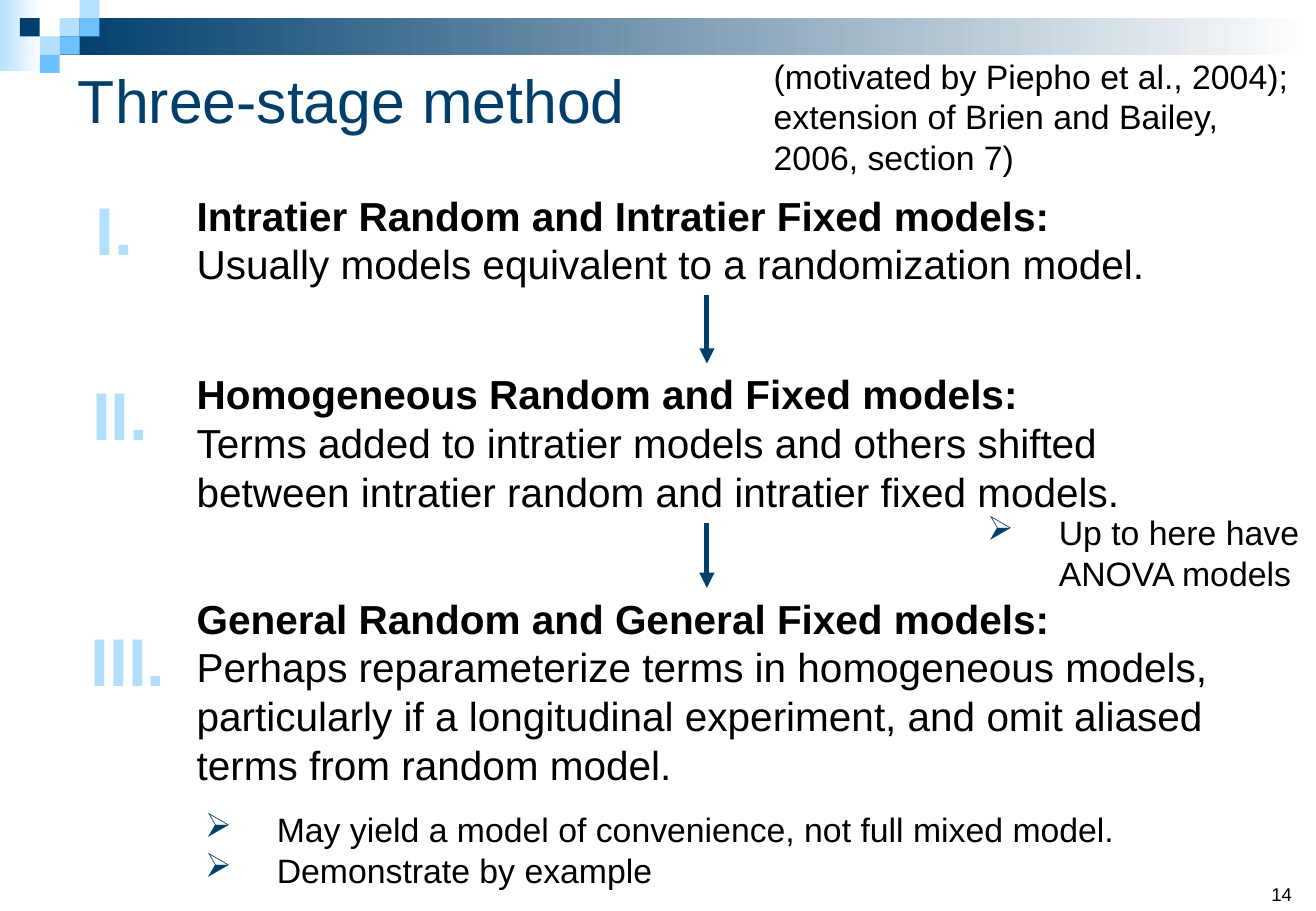
import pptx
import pptx.dml.color
import pptx.enum.shapes
import pptx.enum.text
import pptx.oxml
import pptx.oxml.ns
import pptx.util

Pt = pptx.util.Pt
Align = pptx.enum.text.PP_ALIGN
Anchor = pptx.enum.text.MSO_ANCHOR

COLOURS = {
    "navy": "003E6C",
    "sky": "6DC1FF",
    "pale": "B6E0FF",
    "numeral": "B3DFFF",
    "black": "000000",
    "white": "FFFFFF",
}


def colour(name):
    return pptx.dml.color.RGBColor.from_string(COLOURS[name])


def element(xml):
    namespace = pptx.oxml.ns.nsdecls("a")
    return pptx.oxml.parse_xml(xml.replace("/>", f" {namespace}/>", 1))


class SlideBuilder:
    font = "Arial"
    hanging = 42.5

    def __init__(self, deck):
        self.page = deck.slides.add_slide(deck.slide_layouts[5])

    def block(self, left, top, width, height, fill, fade=None):
        shape = self.page.shapes.add_shape(
            pptx.enum.shapes.MSO_SHAPE.RECTANGLE,
            Pt(left), Pt(top), Pt(width), Pt(height))
        shape.shadow.inherit = False
        shape.line.fill.background()
        if fade:
            shape.fill.gradient()
            shape.fill.gradient_angle = 0
            for stop, name in zip(shape.fill.gradient_stops, (fill, fade)):
                stop.color.rgb = colour(name)
        else:
            shape.fill.solid()
            shape.fill.fore_color.rgb = colour(fill)

    def span(self, para, text, size, ink="black", bold=False):
        span = para.add_run()
        span.text = text
        span.font.name = self.font
        span.font.size = Pt(size)
        span.font.bold = bold
        span.font.color.rgb = colour(ink)

    def title(self, text, left, top, width, height):
        box = self.page.shapes.title
        box.left, box.top, box.width, box.height = (
            Pt(left), Pt(top), Pt(width), Pt(height))
        box.text_frame.vertical_anchor = Anchor.MIDDLE
        para = box.text_frame.paragraphs[0]
        para.alignment = Align.LEFT
        self.span(para, text, 36, "navy")

    def box(self, left, top, width, height, anchor=Anchor.TOP):
        box = self.page.shapes.add_textbox(
            Pt(left), Pt(top), Pt(width), Pt(height))
        box.text_frame.word_wrap = True
        box.text_frame.vertical_anchor = anchor
        return box.text_frame

    def label(self, text, left, top, width, height, size, ink="black",
              bold=False, align=Align.LEFT, anchor=Anchor.TOP):
        para = self.box(left, top, width, height, anchor).paragraphs[0]
        para.alignment = align
        for index, line in enumerate(text.split("\n")):
            if index:
                para.add_line_break()
            self.span(para, line, size, ink, bold)

    def stage(self, heading, detail, top, height):
        para = self.box(109.5, top, 618.5, height).paragraphs[0]
        self.span(para, heading, 24, bold=True)
        para.add_line_break()
        self.span(para, detail, 24)

    def bullets(self, items, left, top, width, height):
        frame = self.box(left, top, width, height)
        for index, item in enumerate(items):
            para = frame.add_paragraph() if index else frame.paragraphs[0]
            properties = para._p.get_or_add_pPr()
            properties.set("marL", str(Pt(self.hanging)))
            properties.set("indent", str(-Pt(self.hanging)))
            tint = element("<a:buClr/>")
            swatch = element("<a:srgbClr/>")
            swatch.set("val", COLOURS["navy"])
            tint.append(swatch)
            properties.append(tint)
            properties.append(element('<a:buChar char="➢"/>'))
            self.span(para, item, 20)

    def arrow(self, x, top, bottom):
        arrow = self.page.shapes.add_connector(
            pptx.enum.shapes.MSO_CONNECTOR.STRAIGHT,
            Pt(x), Pt(top), Pt(x), Pt(bottom))
        arrow.line.width = Pt(3)
        arrow.line.color.rgb = colour("navy")
        arrow.line._get_or_add_ln().append(element('<a:tailEnd type="triangle"/>'))
        arrow._element.spPr.append(element("<a:effectLst/>"))


def main():
    deck = pptx.Presentation()
    deck.slide_width, deck.slide_height = Pt(780), Pt(540)
    slide = SlideBuilder(deck)

    slide.block(0, 0, 24.5, 42, "pale", "white")
    slide.block(35.3, 10.8, 744.7, 21.6, "navy", "white")
    cell_width, cell_height = 11.8, 10.8
    mosaic = [(3, 1, "pale"), (4, 0, "pale"), (4, 1, "sky"), (2, 2, "pale"),
              (1, 1, "navy"), (3, 2, "sky"), (2, 3, "sky")]
    for column, row, fill in mosaic:
        slide.block(column * cell_width, row * cell_height,
                    cell_width, cell_height, fill)

    slide.title("Three-stage method", 39, 32.5, 412, 52.5)
    slide.label("(motivated by Piepho et al., 2004);\n"
                "extension of Brien and Bailey, 2006, section 7)",
                451.5, 29.5, 328.5, 80, 20)

    stages = [
        ("Intratier Random and Intratier Fixed models: ",
         "Usually models equivalent to a randomization model.", 109.5, 65.5),
        ("Homogeneous Random and Fixed models: ",
         "Terms added to intratier models and others shifted between "
         "intratier random and intratier fixed models.", 215.5, 94.5),
        ("General Random and General Fixed models: ",
         "Perhaps reparameterize terms in homogeneous models, particularly "
         "if a longitudinal experiment, and omit aliased terms from random "
         "model.", 348.5, 124),
    ]
    for heading, detail, top, height in stages:
        slide.stage(heading, detail, top, height)
    for (_, _, top, height), (_, _, next_top, _) in zip(stages, stages[1:]):
        slide.arrow(419, top + height, next_top)

    numerals = [("I.", 45.5, 108, 44.5), ("II.", 41, 217.5, 60.5),
                ("III.", 36, 363.5, 80)]
    for numeral, left, top, width in numerals:
        slide.label(numeral, left, top, width, 55.5, 40, "numeral",
                    bold=True, align=Align.CENTER)

    slide.bullets(["May yield a model of convenience, not full mixed model.",
                   "Demonstrate by example"], 114.5, 476, 665.5, 55.5)
    slide.bullets(["Up to here have ANOVA models"], 578, 300, 211, 55.5)
    slide.label("14", 746.5, 504, 33.5, 36, 11, anchor=Anchor.BOTTOM)

    deck.save("out.pptx")


if __name__ == "__main__":
    main()
